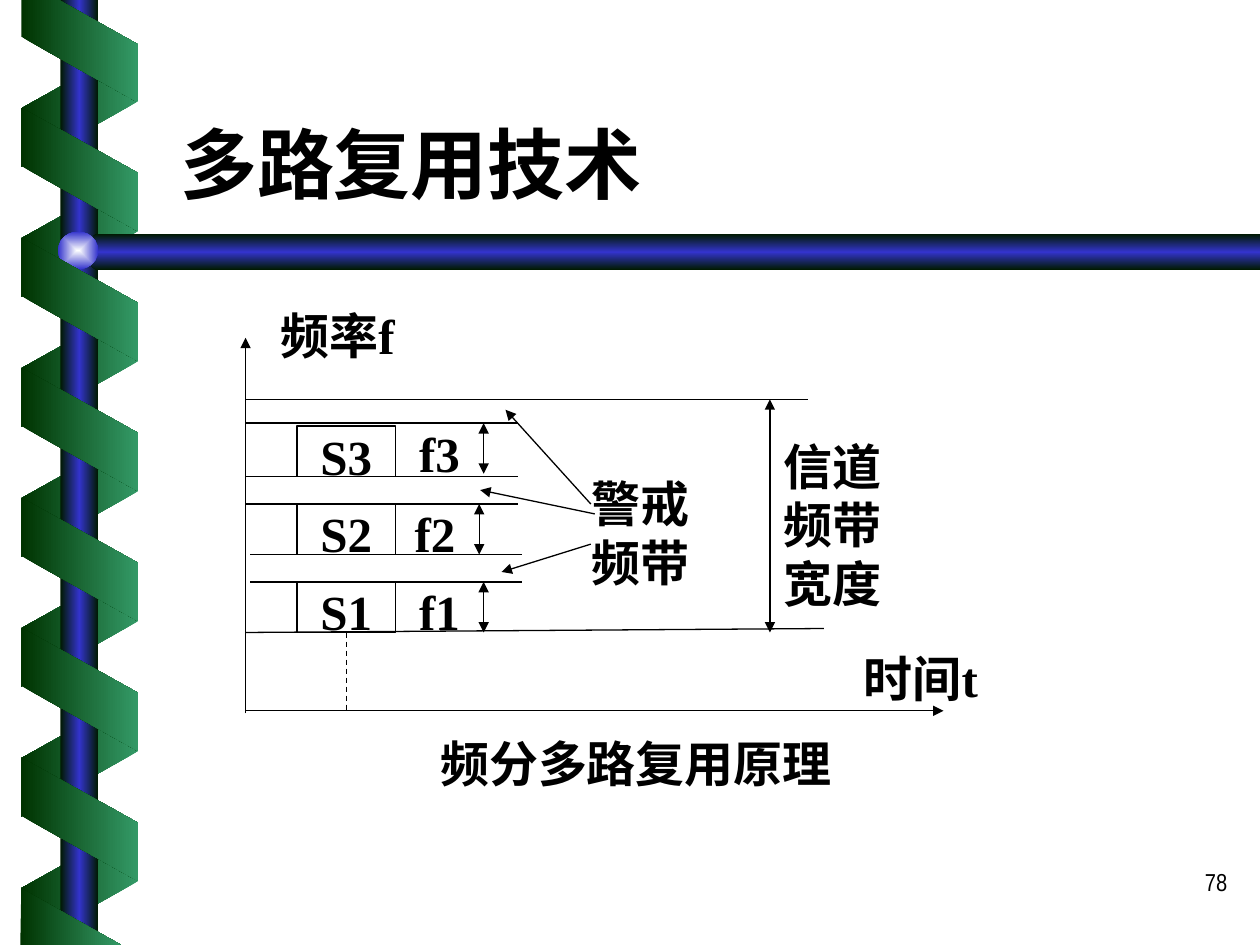
from lxml import etree
from pptx import Presentation, util as u
from pptx.dml.color import RGBColor
from pptx.enum import dml, shapes, text
from pptx.oxml import parse_xml
from pptx.oxml.ns import nsdecls, qn

BLACK = "000000"
DARK, LIGHT = "003300", "339966"
ROD = [(0, "001A00"), (50, "3333CC"), (100, "001A00")]
RIBBON_PITCH = 2.62
SERIF = "Times New Roman"


def color(hex_string):
    return RGBColor.from_string(hex_string)


def gradient(sp, stops, angle=0, centered=False):
    """Give a shape a gradient that stays upright, and no outline."""
    sp.shadow.inherit = False
    sp.line.fill.background()
    sp.fill.background()
    gs = "".join(f'<a:gs pos="{pos * 1000}"><a:srgbClr val="{c}"/></a:gs>'
                 for pos, c in stops)
    if centered:
        direction = ('<a:path path="rect"><a:fillToRect l="50000" t="50000" '
                     'r="50000" b="50000"/></a:path>')
    else:
        direction = f'<a:lin ang="{angle * 60000}" scaled="0"/>'
    fill = parse_xml(f'<a:gradFill rotWithShape="0" {nsdecls("a")}>'
                     f'<a:gsLst>{gs}</a:gsLst>{direction}</a:gradFill>')
    no_fill = sp._element.spPr.find(qn("a:noFill"))
    no_fill.getparent().replace(no_fill, fill)


def shape(s, kind, x, y, w, h):
    return s.shapes.add_shape(kind, u.Cm(x), u.Cm(y), u.Cm(w), u.Cm(h))


def freeform(s, points):
    pts = [(u.Cm(x), u.Cm(y)) for x, y in points]
    builder = s.shapes.build_freeform(*pts[0])
    builder.add_line_segments(pts[1:], close=True)
    return builder.convert_to_shape()


def line(s, x1, y1, x2, y2, head=False, tail=False, dash=False):
    cx = s.shapes.add_connector(shapes.MSO_CONNECTOR.STRAIGHT, u.Cm(x1), u.Cm(y1),
                                u.Cm(x2), u.Cm(y2))
    cx.line.color.rgb = color(BLACK)
    cx.line.width = u.Pt(0.75)
    if dash:
        cx.line.dash_style = dml.MSO_LINE.DASH
    ln = cx.line._get_or_add_ln()
    for wanted, tag in ((head, "a:headEnd"), (tail, "a:tailEnd")):
        if wanted:
            etree.SubElement(ln, qn(tag)).set("type", "triangle")
    etree.SubElement(cx._element.spPr, qn("a:effectLst"))
    return cx


def write(sp, lines, size=28, font=SERIF, bold=True, align=text.PP_ALIGN.CENTER,
          anchor=text.MSO_ANCHOR.TOP, inset=(0, 0)):
    tf = sp.text_frame
    tf.word_wrap = True
    tf.vertical_anchor = anchor
    tf.margin_left = tf.margin_right = u.Cm(inset[0])
    tf.margin_top = tf.margin_bottom = u.Cm(inset[1])
    tf.text = "\n".join(lines)
    for p in tf.paragraphs:
        p.alignment = align
        p.font.size = u.Pt(size)
        p.font.name = font
        p.font.bold = bold
        p.font.color.rgb = color(BLACK)


def label(s, x, y, w, h, *lines, **style):
    write(s.shapes.add_textbox(u.Cm(x), u.Cm(y), u.Cm(w), u.Cm(h)), lines, **style)


def ribbons(s, x, y, count, rotation, stops, flip=False):
    for i in range(count):
        sp = shape(s, shapes.MSO_SHAPE.PARALLELOGRAM, x, y + i * RIBBON_PITCH, 2.49, 2.35)
        sp.adjustments[0] = 0.56
        sp.rotation = rotation
        if flip:
            sp._element.spPr.find(qn("a:xfrm")).set("flipH", "1")
        gradient(sp, stops)


def decoration(s, x, y, w, h):
    """Spiral ribbon around a rod, with a crossbar under the title."""
    front = [(0, DARK), (100, LIGHT)]
    ribbons(s, x + 0.36, y + 0.94, 7, 90, [(0, LIGHT), (100, DARK)], flip=True)
    # Rod, crossbar and knob
    gradient(shape(s, shapes.MSO_SHAPE.RECTANGLE, x + 1.22, y, 0.76, h), ROD)
    bar = [(w, 4.72), (1.93, 4.72), (1.52, 5.08), (1.93, 5.44), (w, 5.44)]
    gradient(freeform(s, [(x + px, y + py) for px, py in bar]), ROD, angle=90)
    gradient(shape(s, shapes.MSO_SHAPE.OVAL, x + 1.17, y + 4.67, 0.81, 0.76),
             [(0, "FEFFFF"), (100, "3333CC")], centered=True)
    # Front turns, cut off at the slide's edges
    ribbons(s, x + 0.36, y + 2.24, 6, 270, front)
    top_end = [(0.43, 0), (0.43, 0.74), (2.77, 2.06), (2.77, 0.89), (1.19, 0)]
    bottom_end = [(2.44, h), (0.43, h - 1.14), (0.41, h)]
    for end in (top_end, bottom_end):
        gradient(freeform(s, [(x + px, y + py) for px, py in end]), front)


def signal(s, x, y, number, shift):
    """One signal box with its frequency label and range arrow."""
    top = y - 0.06 if number == 3 else y
    sp = shape(s, shapes.MSO_SHAPE.RECTANGLE, x + 1.04, y, 1.98, 1.02)
    sp.shadow.inherit = False
    sp.fill.background()
    sp.line.color.rgb = color(BLACK)
    sp.line.width = u.Pt(0.75)
    write(sp, [f"S{number}"])
    label(s, x + 3.1 - shift, top, 1.62, 1.22, f"f{number}")
    line(s, x + 4.8 - shift, top, x + 4.8 - shift, top + 1.02, head=True, tail=True)
    return sp


def diagram(s, x, y, w, h):
    """Frequency-time chart; the box spans the two axes."""
    # Axes
    line(s, x, y + h + 0.05, x, y, tail=True)
    line(s, x, y + h, x + w, y + h, tail=True)

    # Signals, from S3 at the top to S1
    first, pitch, band = y + 1.78, 1.57, 1.02
    for i, shift in enumerate((0, 0.09, 0)):
        box = signal(s, x, first + i * pitch, 3 - i, shift)
    drop = line(s, x + 2.03, y + 5.94, x + 2.03, y + h + 0.05, dash=True)
    drop.begin_connect(box, 2)

    # Band limits
    for dx, ly in ((0, first - 0.06), (0, first + band), (0, first + pitch),
                   (0.09, first + pitch + band), (0.09, first + 2 * pitch)):
        line(s, x + dx, ly, x + dx + 5.49, ly)
    line(s, x, y + 1.24, x + 11.33, y + 1.24)
    line(s, x, y + 5.94, x + 11.66, y + 5.86)

    # Guard bands
    label(s, x + 6.28, y + 2.74, 3.35, 1.98, "警戒", "频带")
    for x1, y1, x2, y2 in ((7.04, 3.55, 4.73, 3.07), (6.96, 4.16, 5.16, 4.72),
                           (6.96, 3.35, 5.24, 1.45)):
        line(s, x + x1, y + y1, x + x2, y + y2, tail=True)

    # Channel bandwidth
    line(s, x + 10.57, y + 1.24, x + 10.57, y + 5.94, head=True, tail=True)
    label(s, x + 10.29, y + 1.98, 3.07, 3.33, "信道", "频带", "宽度")

    # Axis names and caption
    label(s, x + 11.94, y + 6.27, 3.35, 1.3, "时间t")
    label(s, x + 0.18, y - 0.66, 3.35, 1.3, "频率f")
    label(s, x - 0.07, y + 7.97, 15.88, 1.3, "频分多路复用原理")


def main():
    prs = Presentation()
    prs.slide_width, prs.slide_height = u.Cm(25.4), u.Cm(19.05)
    s = prs.slides.add_slide(prs.slide_layouts[6])
    decoration(s, 0, 0, 25.4, 19.05)
    # Page number and title
    label(s, 19.71, 17.35, 5.28, 1.27, "78", size=14, font="Arial Narrow", bold=False,
          align=text.PP_ALIGN.RIGHT, inset=(0.25, 0.13))
    label(s, 3.38, 1.17, 21.59, 3.18, "多路复用技术", size=44, align=text.PP_ALIGN.LEFT,
          anchor=text.MSO_ANCHOR.BOTTOM, inset=(0.25, 0.13))
    diagram(s, 4.95, 6.81, 14.07, 7.52)
    prs.save("out.pptx")


if __name__ == "__main__":
    main()
